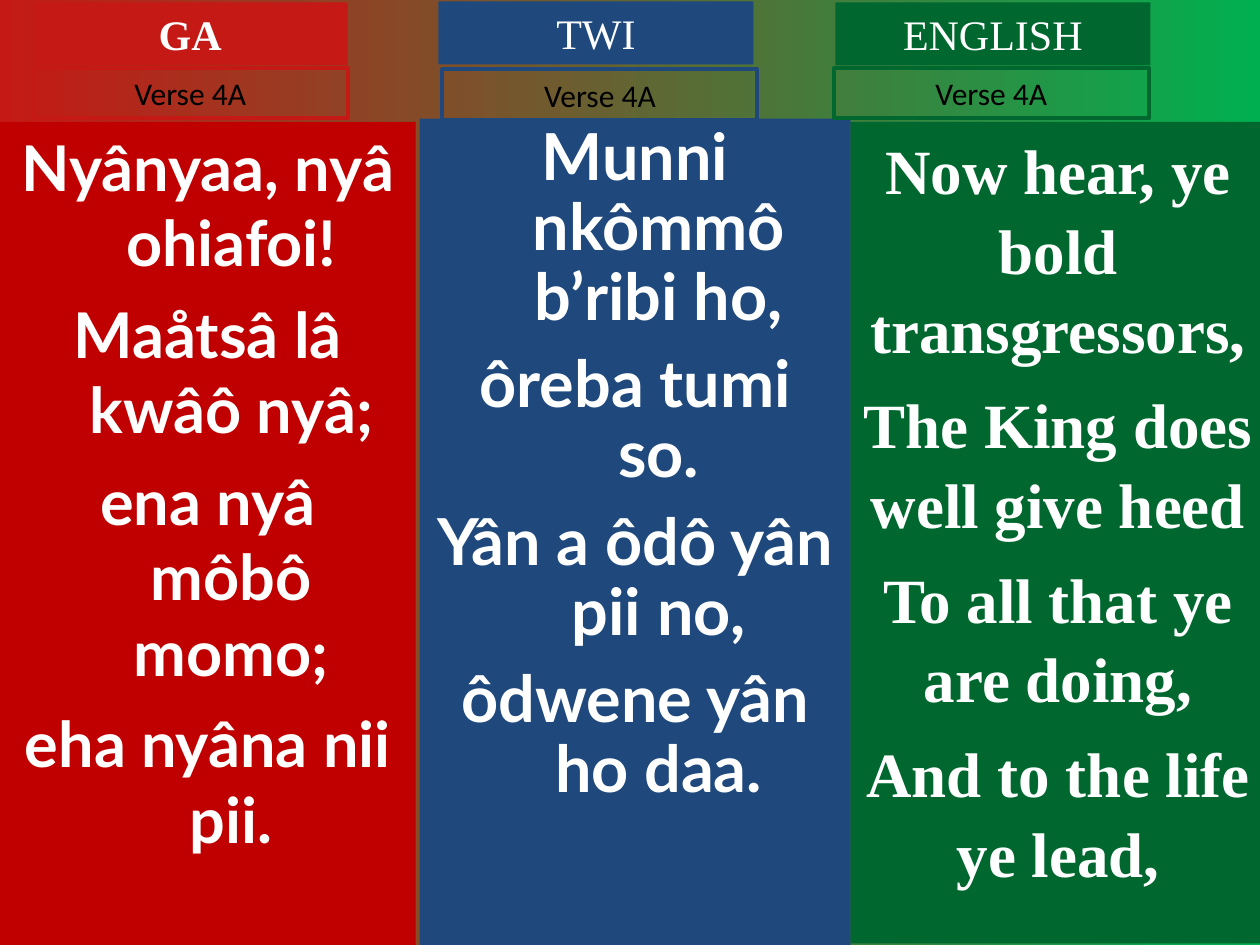
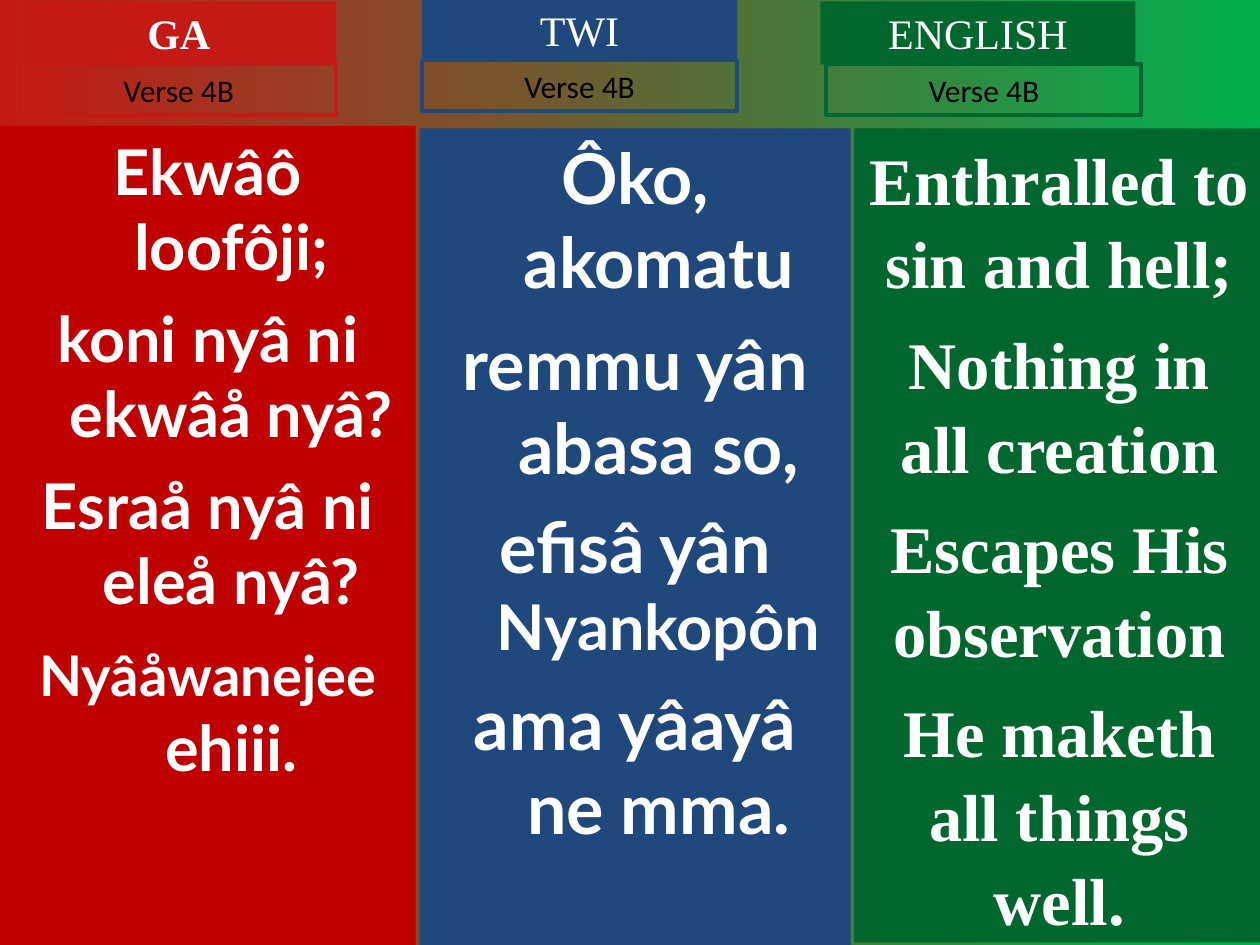
from dataclasses import dataclass

from pptx import Presentation
from pptx.dml.color import RGBColor as Rgb
from pptx.enum.shapes import MSO_SHAPE as Kind
from pptx.enum.text import MSO_ANCHOR as Anchor, MSO_AUTO_SIZE as Fit, PP_ALIGN as Align
from pptx.util import Cm, Pt


@dataclass(frozen=True)
class Theme:
    red: str = "C51915"
    deep: str = "C00000"
    blue: str = "1F497D"
    green: str = "00682F"
    lime: str = "00B050"
    white: str = "FFFFFF"
    black: str = "000000"
    sans: str = "Lato"
    serif: str = "Times New Roman"
    plain: str = "Calibri"
    head: int = 24
    verse: int = 18
    edge: float = 2.25


@dataclass(frozen=True)
class Tongue:
    name: str
    tint: str
    fill: str
    face: str
    hang: float = 0
    bold: bool = False
    lead: float = 1


@dataclass(frozen=True)
class Part:
    tongue: Tongue
    box: tuple
    tab: tuple
    tag: tuple
    size: int
    lines: tuple
    gap: float
    lead: float = 1


T = Theme()
GA = Tongue("GA", T.red, T.deep, T.sans, hang=0.95, bold=True)
TWI = Tongue("TWI", T.blue, T.blue, T.sans, hang=0.95)
ENGLISH = Tongue("ENGLISH", T.green, T.green, T.serif, lead=1.05)
WIDE, HIGH = 25.4, 19.05
TAB = (6.35, 1.27)
TAG = (6.35, 1.02)

VERSES = {
    "Verse 4A": (
        Part(GA, (0, 2.46, 8.38, 16.59), (0.66, 0.05), (0.66, 1.37), 36,
             ("Nyânyaa, nyâ ohiafoi!", "Maåtsâ lâ kwâô nyâ;",
              "ena nyâ môbô momo;", "eha nyâna nii pii."), 9),
        Part(TWI, (8.46, 2.39, 8.69, 16.66), (0.38, 0.03), (0.46, 1.4), 37,
             ("Munni nkômmô b’ribi ho,", "ôreba tumi so.",
              "Yân a ôdô yân pii no,", "ôdwene yân ho daa."), 10, 0.9),
        Part(ENGLISH, (17.15, 2.46, 8.36, 16.56), (-0.31, 0.05), (-0.34, 1.37), 36,
             ("Now hear, ye bold transgressors,", "The King does well give heed",
              "To all that ye are doing,", "And to the life ye lead,"), 9),
    ),
    "Verse 4B": (
        Part(GA, (0, 2.54, 8.38, 16.51), (0.43, 0.03), (0.43, 1.3), 36,
             ("Ekwâô loofôji;", "koni nyâ ni ekwâå nyâ?", "Esraå nyâ ni eleå nyâ?",
              (("Nyâåwanejee", 32), (" ehiii.", 36))), 9),
        Part(TWI, (8.46, 2.59, 8.69, 16.46), (0.05, -0.03), (0.05, 1.22), 40,
             ("Ôko, akomatu", "remmu yân abasa so,",
              (("efisâ yân ", 40), ("Nyankopôn", 36)), "ama yâayâ ne mma."), 10),
        Part(ENGLISH, (17.22, 2.59, 8.28, 16.41), (-0.68, 0.03), (-0.56, 1.3), 38,
             ("Enthralled to sin and hell;", "Nothing in all creation",
              "Escapes His observation", "He maketh all things well."), 9.5),
    ),
}


def block(slide, box, fill=None, line=None):
    shape = slide.shapes.add_shape(Kind.RECTANGLE, *map(Cm, box))
    shape.shadow.inherit = False
    if fill:
        shape.fill.solid()
        shape.fill.fore_color.rgb = Rgb.from_string(fill)
    else:
        shape.fill.background()
    if line:
        shape.line.color.rgb = Rgb.from_string(line)
        shape.line.width = Pt(T.edge)
    else:
        shape.line.fill.background()
    frame = shape.text_frame
    frame.word_wrap = True
    frame.vertical_anchor = Anchor.TOP
    return frame


def style(para, face, size, tint, bold=False):
    para.alignment = Align.CENTER
    font = para.font
    font.name, font.bold = face, bold
    font.color.rgb = Rgb.from_string(tint)
    if size:
        font.size = Pt(size)


def label(slide, box, text, face, size, tint, bold=False, **paint):
    frame = block(slide, box, **paint)
    frame.auto_size = Fit.SHAPE_TO_FIT_TEXT
    para = frame.paragraphs[0]
    para.text = text
    style(para, face, size, tint, bold)


def panel(slide, part):
    tongue = part.tongue
    frame = block(slide, part.box, fill=tongue.fill)
    for i, line in enumerate(part.lines):
        para = frame.add_paragraph() if i else frame.paragraphs[0]
        props = para._p.get_or_add_pPr()
        props.set("marL", str(Cm(tongue.hang)))
        props.set("indent", str(-Cm(tongue.hang)))
        para.line_spacing = part.lead * tongue.lead
        mixed = isinstance(line, tuple)
        if i:
            para.space_before = Pt(line[-1][1] / 4 if mixed else part.gap)
        style(para, tongue.face, None if mixed else part.size, T.white, True)
        for text, size in line if mixed else ((line, None),):
            run = para.add_run()
            run.text = text
            if size:
                run.font.size = Pt(size)


def column(slide, part, verse):
    tongue, left = part.tongue, part.box[0]
    panel(slide, part)
    label(slide, (left + part.tab[0], part.tab[1], *TAB), tongue.name,
          T.serif, T.head, T.white, tongue.bold, fill=tongue.tint)
    label(slide, (left + part.tag[0], part.tag[1], *TAG), verse,
          T.plain, T.verse, T.black, line=tongue.tint)


def page(deck, verse, parts):
    slide = deck.slides.add_slide(deck.slide_layouts[6])
    fill = slide.background.fill
    fill.gradient()
    fill.gradient_angle = 0
    for stop, tint, spot in zip(fill.gradient_stops, (T.red, T.lime), (0, 1)):
        stop.color.rgb = Rgb.from_string(tint)
        stop.position = spot
    for part in parts:
        column(slide, part, verse)


def main():
    deck = Presentation()
    deck.slide_width, deck.slide_height = Cm(WIDE), Cm(HIGH)
    for verse, parts in VERSES.items():
        page(deck, verse, parts)
    deck.save("out.pptx")


if __name__ == "__main__":
    main()
